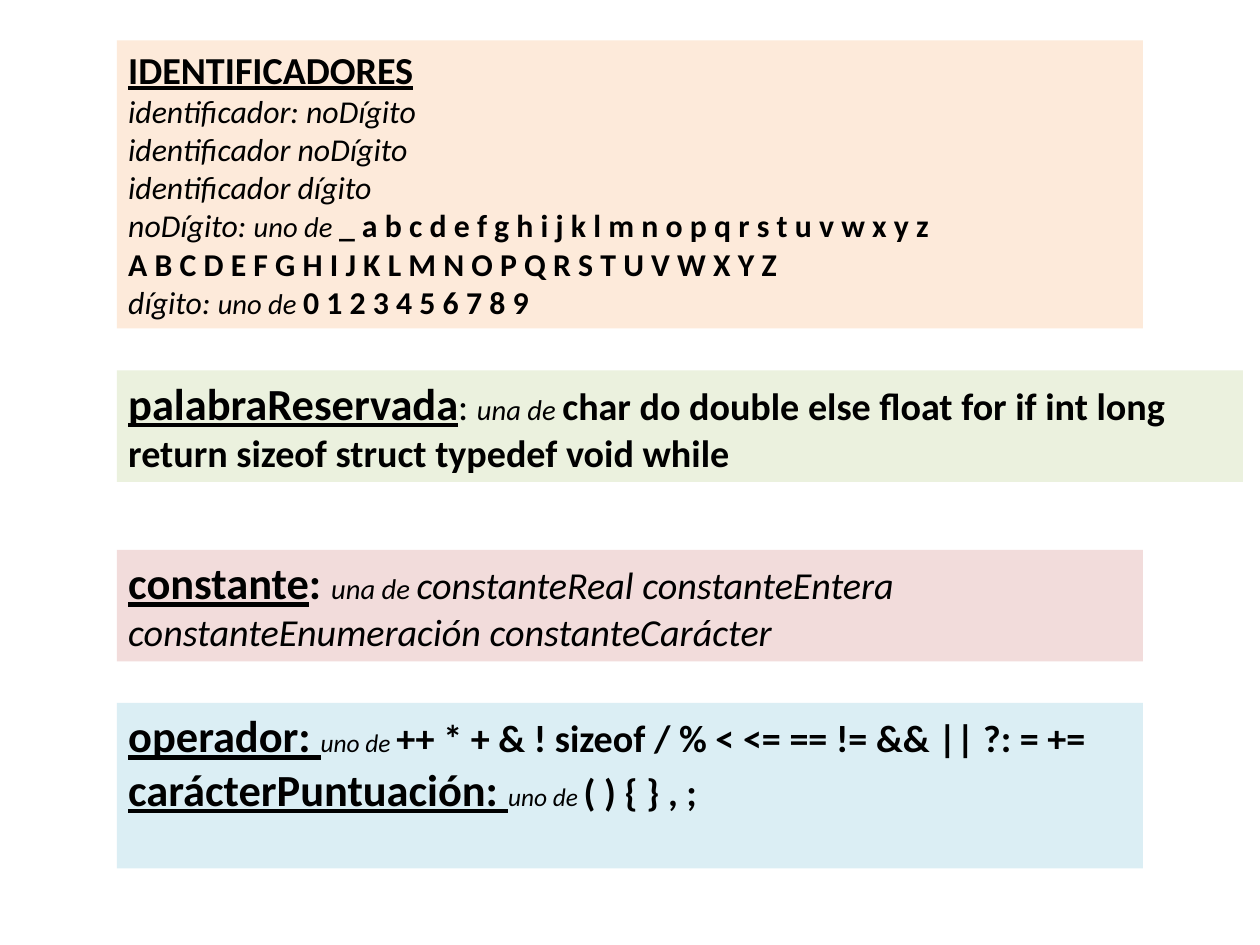
from dataclasses import dataclass
from typing import NamedTuple

from pptx import Presentation
from pptx.dml.color import RGBColor
from pptx.enum.text import MSO_ANCHOR, MSO_AUTO_SIZE
from pptx.slide import Slide
from pptx.util import Cm, Pt


@dataclass(frozen=True)
class Theme:
    font: str = "Calibri"
    ink: str = "000000"
    peach: str = "FDEADA"
    green: str = "EBF1DE"
    rose: str = "F2DCDB"
    sky: str = "DBEEF4"
    term: int = 28
    head: int = 24
    rule: int = 20
    hint: int = 18
    small: int = 16


class Span(NamedTuple):
    text: str
    size: int
    bold: bool = False
    italic: bool = False
    under: bool = False


class Panel(NamedTuple):
    top: float
    height: float
    fill: str
    lines: list[list[Span]]
    width: float = 22.8


THEME = Theme()
LEFT = 2.6


# Text styles
def term(text: str, size: int = THEME.term) -> Span:
    return Span(text, size, bold=True, under=True)


def code(text: str, size: int = THEME.head) -> Span:
    return Span(text, size, bold=True)


def name(text: str, size: int = THEME.rule) -> Span:
    return Span(text, size, italic=True)


def draw_panel(slide: Slide, panel: Panel) -> None:
    box = slide.shapes.add_textbox(
        Cm(LEFT), Cm(panel.top), Cm(panel.width), Cm(panel.height))
    box.fill.solid()
    box.fill.fore_color.rgb = RGBColor.from_string(panel.fill)
    frame = box.text_frame
    frame.word_wrap = True
    frame.auto_size = MSO_AUTO_SIZE.NONE
    frame.vertical_anchor = MSO_ANCHOR.TOP
    for i, line in enumerate(panel.lines):
        para = frame.add_paragraph() if i else frame.paragraphs[0]
        para.font.name = THEME.font
        para.font.color.rgb = RGBColor.from_string(THEME.ink)
        for span in line:
            run = para.add_run()
            run.text = span.text
            run.font.size = Pt(span.size)
            run.font.bold = span.bold
            run.font.italic = span.italic
            run.font.underline = span.under


# Grammar panels, top to bottom
PANELS = [
    Panel(0.9, 6.4, THEME.peach, [
        [term("IDENTIFICADORES", THEME.head)],
        [name("identificador: noDígito")],
        [name("identificador noDígito")],
        [name("identificador dígito")],
        [name("noDígito: "), name("uno de ", THEME.hint),
         code("_ a b c d e f g h i j k l m n o p q r s t u v w x y z",
              THEME.rule)],
        [code("A B C D E F G H I J K L M N O P Q R S T U V W X Y Z",
              THEME.rule)],
        [name("dígito: "), name("uno de ", THEME.hint),
         code("0 1 2 3 4 5 6 7 8 9", THEME.rule)],
    ]),
    Panel(8.23, 2.48, THEME.green, [
        [term("palabraReservada"), Span(": ", THEME.head),
         name("una de ", THEME.hint),
         code("char do double else float for if int long "
              "return sizeof struct typedef void while")],
    ], width=25.02),
    Panel(12.22, 2.48, THEME.rose, [
        [term("constante"), code(": ", THEME.term),
         name("una de ", THEME.hint),
         name("constanteReal constanteEntera", THEME.head)],
        [name("constanteEnumeración constanteCarácter", THEME.head)],
    ]),
    Panel(15.62, 3.68, THEME.sky, [
        [term("operador: "), name("uno de ", THEME.small),
         code("++ * + & ! sizeof / % < <= == != && || ?: = +=")],
        [term("carácterPuntuación: "), name("uno de ", THEME.small),
         code("( ) { } , ;")],
    ]),
]

# Slide
deck = Presentation()
deck.slide_width, deck.slide_height = Cm(28), Cm(21)
page = deck.slides.add_slide(deck.slide_layouts[6])
for panel in PANELS:
    draw_panel(page, panel)
deck.save("out.pptx")
